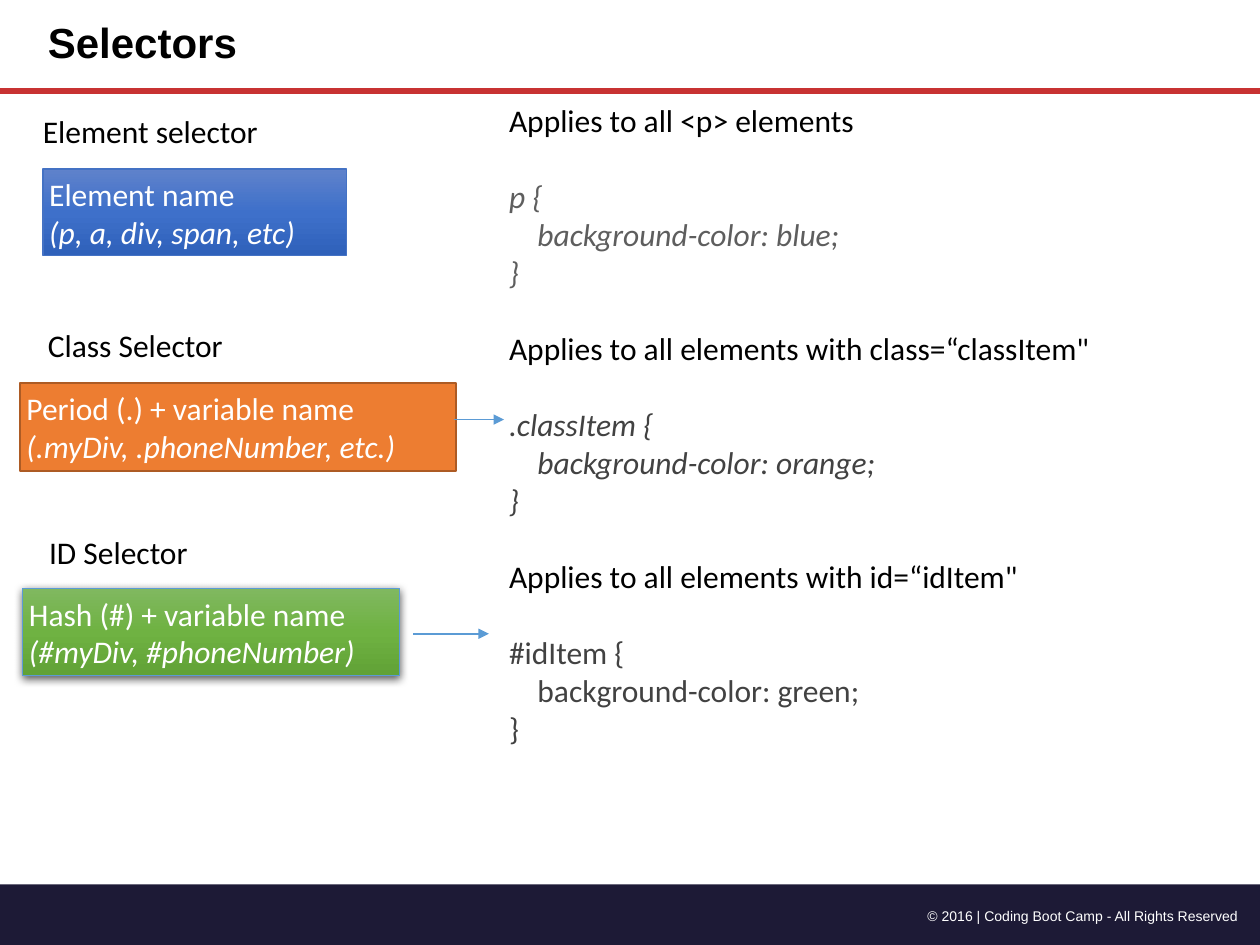
import copy

import pptx
import pptx.dml.color
import pptx.enum.shapes
import pptx.enum.text
import pptx.oxml
import pptx.oxml.ns
import pptx.oxml.xmlchemy
import pptx.util

Inches = pptx.util.Inches
Pt = pptx.util.Pt
qn = pptx.oxml.ns.qn
ALIGN = pptx.enum.text.PP_ALIGN
ANCHOR = pptx.enum.text.MSO_ANCHOR

BLACK, WHITE = "000000", "FFFFFF"
ARROW_BLUE = "5B9BD5"
BLANK_LINE = 22  # points, one line of 18 pt text

RULES = [
    ("Applies to all <p> elements",
     ["p {", "    background-color: blue;", "}"], "5E5E5E", True),
    ("Applies to all elements with class=“classItem\"",
     [".classItem {", "    background-color: orange;", "}"], "424242", True),
    ("Applies to all elements with id=“idItem\"",
     ["#idItem {", "    background-color: green;", "}"], "424242", False),
]


def rgb(value):
    return pptx.dml.color.RGBColor.from_string(value)


def prepare_frame(shape, anchor=ANCHOR.TOP):
    frame = shape.text_frame
    frame.word_wrap = True
    frame.vertical_anchor = anchor
    frame.margin_left = frame.margin_right = Inches(0.05)
    frame.margin_top = frame.margin_bottom = Inches(0.05)
    return frame


def format_paragraph(paragraph, color, size=18, name="Calibri", bold=False,
                     italic=False, align=ALIGN.LEFT):
    paragraph.alignment = align
    for run in paragraph.runs:
        run.font.name = name
        run.font.size = Pt(size)
        run.font.bold = bold
        run.font.italic = italic
        run.font.color.rgb = rgb(color)


def add_text(slide, box, text, color=BLACK, **style):
    shape = slide.shapes.add_textbox(*map(Inches, box))
    paragraph = prepare_frame(shape).paragraphs[0]
    paragraph.text = text
    format_paragraph(paragraph, color, **style)


def add_rectangle(slide, box):
    shape = slide.shapes.add_shape(
        pptx.enum.shapes.MSO_SHAPE.RECTANGLE, *map(Inches, box))
    shape.shadow.inherit = False
    return shape


def fill_shape(shape, colors):
    """Fill with one colour, or with three from top to bottom."""
    fill = shape.fill
    if len(colors) == 1:
        fill.solid()
        fill.fore_color.rgb = rgb(colors[0])
        return
    fill.gradient()
    fill.gradient_angle = 270
    stop_list = shape._element.spPr.find(qn("a:gradFill")).find(qn("a:gsLst"))
    stop_list.insert(1, copy.deepcopy(stop_list[0]))
    for stop, color, position in zip(fill.gradient_stops, colors, (0, 0.5, 1)):
        stop.color.rgb = rgb(color)
        stop.position = position


def add_selector_box(slide, box, colors, line_color, line_width, heading, examples):
    shape = add_rectangle(slide, box)
    fill_shape(shape, colors)
    shape.line.color.rgb = rgb(line_color)
    shape.line.width = Pt(line_width)
    frame = prepare_frame(shape)
    frame.text = f"{heading}\n{examples}"
    for paragraph, italic in zip(frame.paragraphs, (False, True)):
        format_paragraph(paragraph, WHITE, italic=italic)
    return shape


def add_drop_shadow(shape):
    shadow = pptx.oxml.parse_xml(
        f'<a:outerShdw {pptx.oxml.ns.nsdecls("a")} blurRad="{Pt(5)}" '
        f'dist="{Pt(1.5)}" dir="5400000" rotWithShape="0">'
        '<a:srgbClr val="000000"><a:alpha val="63000"/></a:srgbClr></a:outerShdw>')
    shape._element.spPr.find(qn("a:effectLst")).append(shadow)


def add_line(slide, left, right, y, color, width, arrow=False):
    line = slide.shapes.add_connector(
        pptx.enum.shapes.MSO_CONNECTOR.STRAIGHT,
        Inches(left), Inches(y), Inches(right), Inches(y))
    line.line.color.rgb = rgb(color)
    line.line.width = Pt(width)
    properties = line._element.spPr
    if arrow:
        head = pptx.oxml.xmlchemy.OxmlElement("a:tailEnd")
        head.set("type", "triangle")
        properties.find(qn("a:ln")).append(head)
    properties.append(pptx.oxml.xmlchemy.OxmlElement("a:effectLst"))


def add_frame(slide):
    """Draw the footer band, the copyright line and the rule under the title."""
    band = add_rectangle(slide, (0, 7.02, 10.01, 0.5))
    fill_shape(band, ["1D1A36"])
    band.line.fill.background()
    add_text(slide, (6.83, 7.15, 3.05, 0.22),
             "© 2016 | Coding Boot Camp - All Rights Reserved",
             WHITE, size=8, name="Arial", align=ALIGN.RIGHT)
    add_line(slide, 0, 10, 0.72, "C83232", 3.25)


def set_title(slide, text):
    title = slide.shapes.title
    title.left, title.top = Inches(0.33), Inches(0)
    title.width, title.height = Inches(5.98), Inches(0.72)
    paragraph = prepare_frame(title, ANCHOR.MIDDLE).paragraphs[0]
    paragraph.text = text
    paragraph.line_spacing = 0.9
    format_paragraph(paragraph, BLACK, size=24, name="Arial", bold=True)


def add_rules(slide, box):
    shape = slide.shapes.add_textbox(*map(Inches, box))
    frame = prepare_frame(shape)
    frame.text = "\n".join(
        "\n".join([heading, *code]) for heading, code, _, _ in RULES)
    paragraphs = iter(frame.paragraphs)
    for rule_number, (_, code, color, italic) in enumerate(RULES):
        heading = next(paragraphs)
        format_paragraph(heading, BLACK)
        if rule_number:
            heading.space_before = Pt(BLANK_LINE)
        for line_number in range(len(code)):
            paragraph = next(paragraphs)
            format_paragraph(paragraph, color, italic=italic)
            if line_number == 0:
                paragraph.space_before = Pt(BLANK_LINE)


def main():
    presentation = pptx.Presentation()
    presentation.slide_width = Inches(10)
    presentation.slide_height = Inches(7.5)
    slide = presentation.slides.add_slide(presentation.slide_layouts[5])

    add_frame(slide)
    set_title(slide, "Selectors")
    add_rules(slide, (3.99, 0.75, 5.33, 5.06))

    add_selector_box(slide, (0.34, 1.34, 2.41, 0.69),
                     ["5F82CB", "3E70CA", "2F61BA"], "4472C4", 0.75,
                     "Element name", "(p, a, div, span, etc)")
    add_selector_box(slide, (0.16, 3.04, 3.46, 0.7), ["ED7D31"], "AD5B24", 1,
                     "Period (.) + variable name", "(.myDiv, .phoneNumber, etc.)")
    id_box = add_selector_box(slide, (0.18, 4.67, 2.99, 0.69),
                              ["80B860", "6FB242", "61A236"], ARROW_BLUE, 0.75,
                              "Hash (#) + variable name", "(#myDiv, #phoneNumber)")
    add_drop_shadow(id_box)

    add_line(slide, 3.28, 3.88, 5.03, ARROW_BLUE, 1, arrow=True)
    add_line(slide, 3.6, 4, 3.33, ARROW_BLUE, 1, arrow=True)

    add_text(slide, (0.29, 0.84, 2.01, 0.39), "Element selector")
    add_text(slide, (0.33, 2.54, 1.67, 0.39), "Class Selector")
    add_text(slide, (0.34, 4.18, 1.33, 0.39), "ID Selector")

    presentation.save("out.pptx")


if __name__ == "__main__":
    main()
